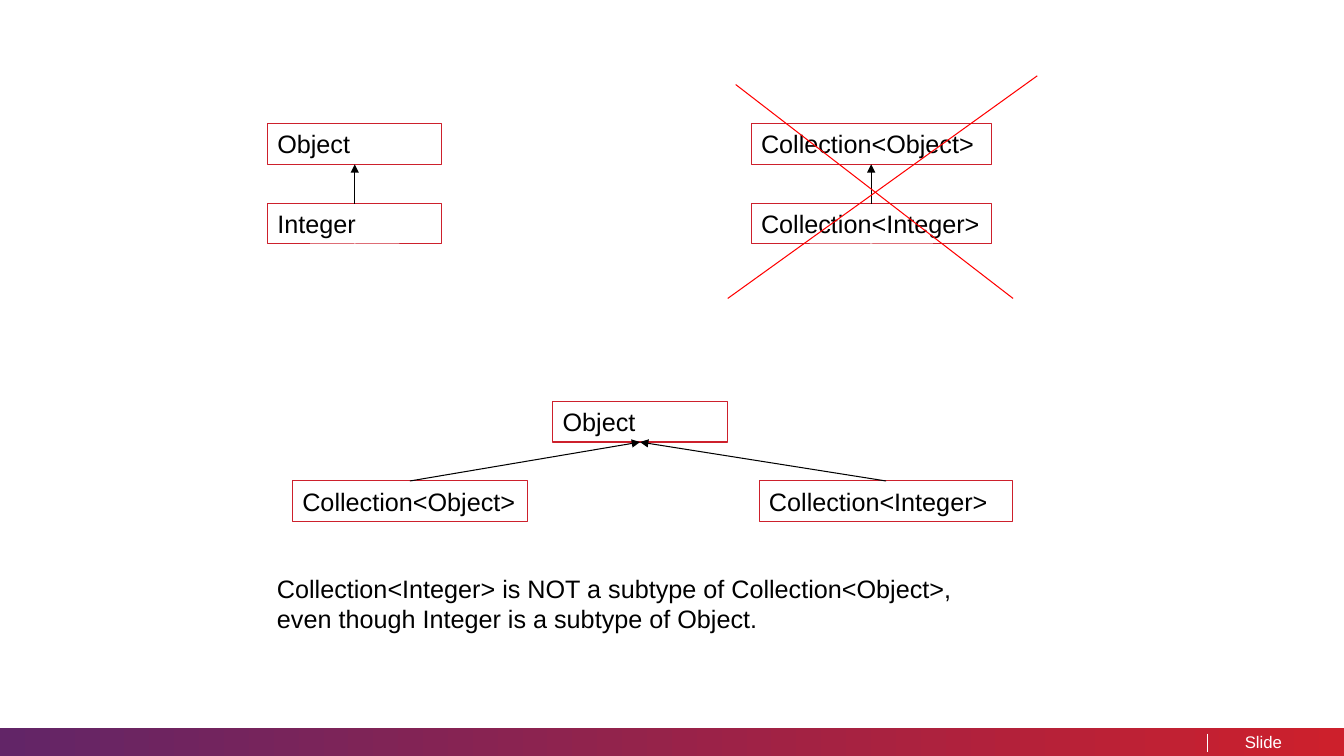
from dataclasses import dataclass

from lxml.etree import SubElement
from pptx import Presentation
from pptx.dml.color import RGBColor
from pptx.enum.shapes import MSO_CONNECTOR, MSO_SHAPE
from pptx.enum.text import MSO_ANCHOR, MSO_AUTO_SIZE, PP_ALIGN
from pptx.oxml.ns import qn
from pptx.util import Cm, Pt


@dataclass(frozen=True)
class Theme:
    font: str = "Arial"
    body: Pt = Pt(18)
    footer: Pt = Pt(12)
    thin: Pt = Pt(0.75)
    divider: Pt = Pt(1)
    black: RGBColor = RGBColor(0, 0, 0)
    white: RGBColor = RGBColor(255, 255, 255)
    purple: RGBColor = RGBColor(0x62, 0x25, 0x67)
    crimson: RGBColor = RGBColor(0xCD, 0x20, 0x2C)
    cross: RGBColor = RGBColor(255, 0, 0)


theme = Theme()


def write(shape, text, size, color, **frame_format):
    """Put one formatted paragraph into a shape."""
    frame = shape.text_frame
    for name, value in {"word_wrap": True, **frame_format}.items():
        setattr(frame, name, value)
    paragraph = frame.paragraphs[0]
    paragraph.alignment = PP_ALIGN.LEFT
    run = paragraph.add_run()
    run.text = text
    for name, value in {"name": theme.font, "size": size}.items():
        setattr(run.font, name, value)
    run.font.color.rgb = color
    return paragraph


def draw_line(start, end, color, width=theme.thin):
    """Draw a straight line without shadow between two points in cm."""
    line = slide.shapes.add_connector(
        MSO_CONNECTOR.STRAIGHT, *(Cm(value) for value in (*start, *end)))
    line.line.color.rgb = color
    line.line.width = width
    SubElement(line._element.spPr, qn("a:effectLst"))
    return line


presentation = Presentation()
presentation.slide_width = Cm(33.87)
presentation.slide_height = Cm(19.05)
slide = presentation.slides.add_slide(presentation.slide_layouts[6])

# Footer band
footer_top, footer_height = 18.34, 0.71
band = slide.shapes.add_shape(
    MSO_SHAPE.RECTANGLE, 0, Cm(footer_top), Cm(33.87), Cm(footer_height))
band.shadow.inherit = False
band.line.fill.background()
band.fill.gradient()
band.fill.gradient_angle = 0
for stop, position, color in zip(
        band.fill.gradient_stops, (0, 1), (theme.purple, theme.crimson)):
    stop.position = position
    stop.color.rgb = color

page_label = slide.shapes.add_textbox(
    Cm(31.11), Cm(footer_top), Cm(1.2), Cm(footer_height))
write(page_label, "Slide", theme.footer, theme.white,
      margin_left=0, margin_right=0,
      vertical_anchor=MSO_ANCHOR.MIDDLE).alignment = PP_ALIGN.RIGHT
draw_line((30.43, 18.49), (30.43, 18.95), theme.white, theme.divider)

# Type boxes: key, name, left, top, width
box_height = 1.02
parent_top, child_top = 3.12, 5.13
types = [
    ("object", "Object", 6.74, parent_top, 4.4),
    ("integer", "Integer", 6.74, child_top, 4.4),
    ("objects", "Collection<Object>", 18.93, parent_top, 6.05),
    ("integers", "Collection<Integer>", 18.93, child_top, 6.05),
    ("root", "Object", 13.93, 10.12, 4.4),
    ("root integers", "Collection<Integer>", 19.13, 12.12, 6.4),
    ("root objects", "Collection<Object>", 7.37, 12.12, 5.92),
]
type_boxes = {}
for key, name, left, top, width in types:
    type_box = slide.shapes.add_shape(
        MSO_SHAPE.RECTANGLE, Cm(left), Cm(top), Cm(width), Cm(box_height))
    type_box.shadow.inherit = False
    type_box.fill.background()
    type_box.line.color.rgb = theme.crimson
    type_box.line.width = theme.thin
    write(type_box, name, theme.body, theme.black,
          vertical_anchor=MSO_ANCHOR.TOP,
          auto_size=MSO_AUTO_SIZE.SHAPE_TO_FIT_TEXT)
    type_boxes[key] = type_box

# Subtype arrows, from the top of the child to the bottom of the parent
for child, parent in [("integer", "object"), ("integers", "objects"),
                      ("root integers", "root"), ("root objects", "root")]:
    subtype_arrow = draw_line((0, 0), (0, 0), theme.black)
    subtype_arrow.begin_connect(type_boxes[child], 0)
    subtype_arrow.end_connect(type_boxes[parent], 2)
    SubElement(subtype_arrow.line._get_or_add_ln(), qn("a:tailEnd"), type="triangle")

# Cross over the wrong hierarchy
draw_line((18.54, 2.13), (25.53, 7.52), theme.cross)
draw_line((18.34, 7.52), (26.14, 1.91), theme.cross)

# Conclusion
conclusion = slide.shapes.add_textbox(Cm(6.73), Cm(14.32), Cm(18.8), Cm(1.8))
write(conclusion,
      "Collection<Integer> is NOT a subtype of Collection<Object>, "
      "even though Integer is a subtype of Object.",
      theme.body, theme.black, auto_size=MSO_AUTO_SIZE.SHAPE_TO_FIT_TEXT)

presentation.save("out.pptx")
